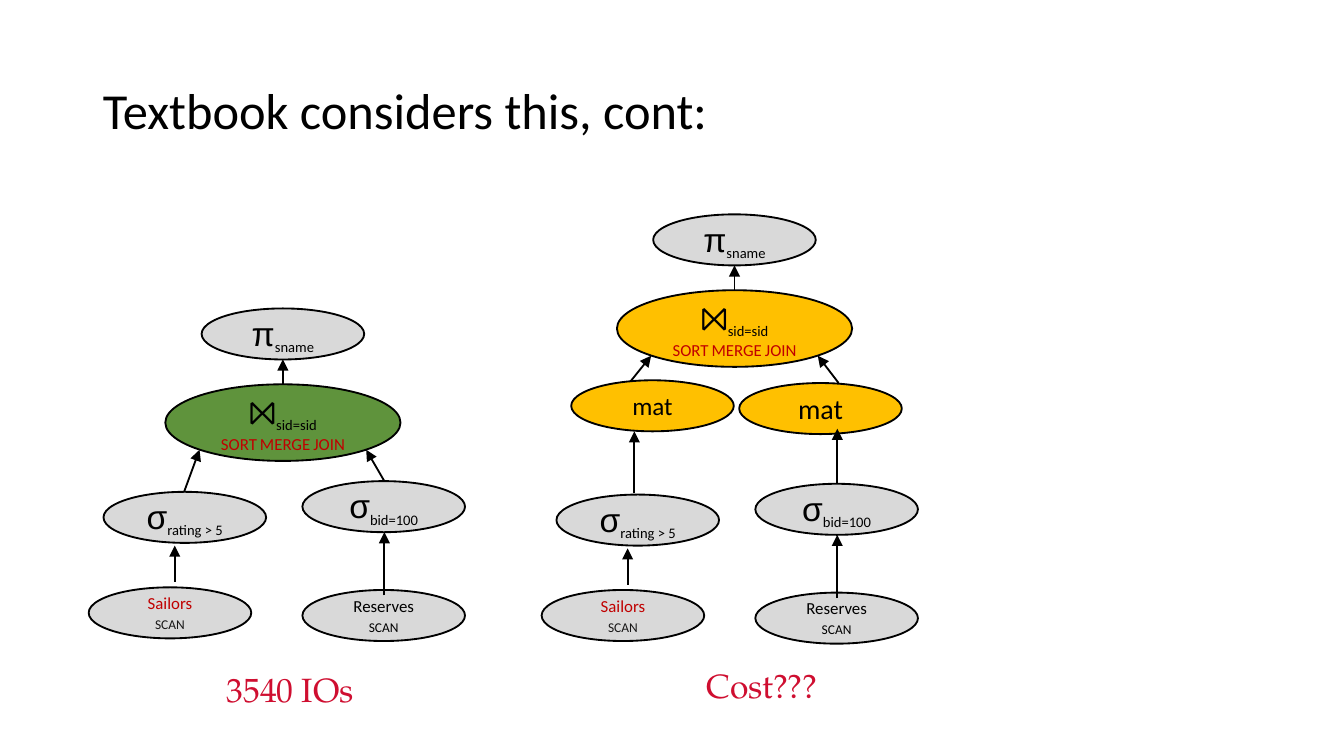
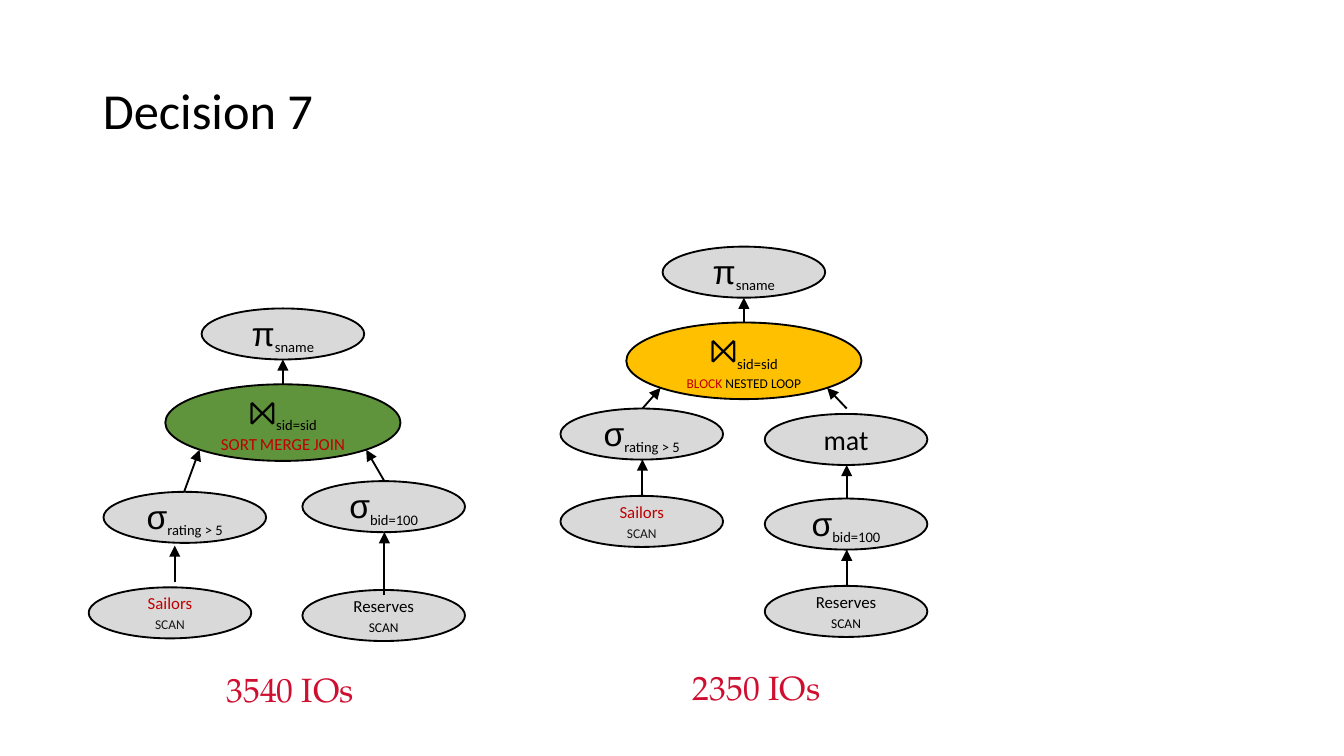
import pptx
import pptx.util
import pptx.dml.color
import pptx.enum.shapes
import pptx.enum.text
import pptx.oxml.ns
import lxml.etree

COLOURS = {
    "black": "000000",
    "scan": "181717",
    "red": "C00000",
    "cost": "CF0E30",
    "grey": "D9D9D9",
    "green": "5F933C",
    "amber": "FFC000",
}
PP_ALIGN = pptx.enum.text.PP_ALIGN

# Grid: 100 columns of a tenth of an inch, rows of the same size
CELL = pptx.util.Inches(0.1)
NODE_SIZE = (12.1, 3.8)
JOIN_SIZE = (17.5, 5.7)
CAPTION_SIZE = (15.6, 3.8)


def cells(*lengths):
    return [round(length * CELL) for length in lengths]


def add_text(frame, text, *, size, colour="black", font="Calibri", align=PP_ALIGN.CENTER,
             subscript=False, small_caps=False, start="run"):
    """Add a run, after a new paragraph or a line break if start says so."""
    frame.vertical_anchor = pptx.enum.text.MSO_ANCHOR.MIDDLE
    paragraph = frame.add_paragraph() if start == "paragraph" else frame.paragraphs[-1]
    if start == "line":
        paragraph.add_line_break()
    paragraph.alignment = align
    run = paragraph.add_run()
    run.text = text
    run.font.size = pptx.util.Pt(size)
    run.font.name = font
    run.font.color.rgb = pptx.dml.color.RGBColor.from_string(COLOURS[colour])
    properties = run.font._element
    if subscript:
        properties.set("baseline", "-25000")
    if small_caps:
        properties.set("cap", "small")
    return paragraph


# Node labels: lists of runs
symbol = {"size": 18, "font": "Arial"}
condition = {"size": 13.5, "subscript": True}
method = {"size": 9, "small_caps": True}
labels = {
    "project": [("π", symbol), ("sname", condition)],
    "rating": [("σ", symbol), ("rating > 5", condition)],
    "bid": [("σ", symbol), ("bid=100", condition)],
    "sailors": [("Sailors", {"size": 9, "colour": "red"}),
                ("scan", {**method, "colour": "scan", "start": "paragraph"})],
    "reserves": [("Reserves", {"size": 9}), ("scan", {**method, "start": "paragraph"})],
    "mat": [("mat", {"size": 15})],
    "small mat": [("mat", {"size": 13.5})],
}
join_label = [("⨝", symbol), ("sid=sid", condition)]
labels["sort merge"] = join_label + [
    ("SORT MERGE JOIN", {**method, "colour": "red", "start": "line"})]
labels["block loop"] = join_label + [
    ("block", {**method, "colour": "red", "start": "line"}), (" nested loop", method)]

# Both selections with their scans, placed as in the left plan
base_nodes = [("rating", 7.7, 36.6), ("sailors", 6.6, 43.7),
              ("bid", 22.5, 35.8), ("reserves", 22.5, 43.9)]
base_arrows = [(28.6, 44.3, 28.6, 39.6), (13, 43.3, 13, 40.6)]

# Plans: join is (label, colour, left, top); inputs are the starts of its two arrows
sort_merge_plan = {
    "join": ("sort merge", "green", 12.3, 28.6),
    "inputs": [(13.7, 36.6), (28.6, 35.8)],
    "nodes": [(label, "grey", left, top) for label, left, top in base_nodes],
    "arrows": base_arrows,
    "caption": ("3540 IOs", 13.8, 49.4),
}
shift_x, shift_y = 33.7, 0.2
materialised_plan = {
    "join": ("sort merge", "amber", 45.9, 21.6),
    "inputs": [(46.9, 28.4), (62.4, 28.5)],
    "nodes": [("small mat", "amber", 42.5, 28.3), ("mat", "amber", 55, 28.5)]
    + [(label, "grey", left + shift_x, top + shift_y) for label, left, top in base_nodes],
    "arrows": [(x1 + shift_x, y1 + shift_y, x2 + shift_x, y2 + shift_y)
               for x1, y1, x2, y2 in base_arrows]
    + [(47.2, 36.7, 47.2, 32.1), (62.3, 36, 62.3, 31.9)],
    "caption": ("Cost???", 48.9, 49.1),
}
block_loop_plan = {
    "join": ("block loop", "amber", 46.6, 24),
    "inputs": [(47.8, 30.4), (63, 30.4)],
    "nodes": [("rating", "grey", 41.7, 30.4), ("sailors", "grey", 41.7, 36.9),
              ("mat", "grey", 56.9, 30.8), ("bid", "grey", 56.9, 37.1),
              ("reserves", "grey", 56.9, 43.6)],
    "arrows": [(47.8, 36.9, 47.8, 34.2), (63, 37.1, 63, 34.6), (63, 43.6, 63, 40.9)],
    "caption": ("2350 IOs", 48.5, 49.2),
}
slides = [
    ("Textbook considers this, cont:", [sort_merge_plan, materialised_plan]),
    ("Decision 7", [sort_merge_plan, block_loop_plan]),
]

presentation = pptx.Presentation()
presentation.slide_width, presentation.slide_height = cells(100, 56.25)

for title, plans in slides:
    slide = presentation.slides.add_slide(presentation.slide_layouts[6])

    # Title
    frame = slide.shapes.add_textbox(*cells(6.9, 3, 86.2, 10.9)).text_frame
    frame.word_wrap = True
    frame.margin_left, frame.margin_right, frame.margin_top, frame.margin_bottom = cells(
        0.75, 0.75, 0.38, 0.38)
    paragraph = add_text(frame, title, size=27, align=PP_ALIGN.LEFT)
    paragraph.line_spacing = 0.9

    for plan in plans:
        # Projection above the join, and the arrows that meet the join
        join_label_name, join_colour, join_left, join_top = plan["join"]
        nodes = plan["nodes"] + [("project", "grey", join_left + 2.7, join_top - 5.65),
                                 plan["join"]]
        centre = join_left + JOIN_SIZE[0] / 2
        arrows = plan["arrows"] + [(centre, join_top, centre, join_top - 1.85)]
        for (x, y), side in zip(plan["inputs"], (-1, 1)):
            arrows.append((x, y, centre + side * 6.2, join_top + 4.87))

        # Operators
        for label, colour, left, top in nodes:
            size = JOIN_SIZE if label == join_label_name else NODE_SIZE
            shape = slide.shapes.add_shape(
                pptx.enum.shapes.MSO_SHAPE.OVAL, *cells(left, top, *size))
            shape.shadow.inherit = False
            shape.fill.solid()
            shape.fill.fore_color.rgb = pptx.dml.color.RGBColor.from_string(COLOURS[colour])
            shape.line.color.rgb = pptx.dml.color.RGBColor.from_string(COLOURS["black"])
            shape.line.width = pptx.util.Pt(1)
            frame = shape.text_frame
            frame.word_wrap = True
            frame.margin_left, frame.margin_right, frame.margin_top, frame.margin_bottom = cells(
                0.75, 0.75, 0.38, 0.38)
            for text, text_format in labels[label]:
                add_text(frame, text, **text_format)

        # Data flow
        for arrow in arrows:
            connector = slide.shapes.add_connector(
                pptx.enum.shapes.MSO_CONNECTOR.STRAIGHT, *cells(*arrow))
            connector.line.color.rgb = pptx.dml.color.RGBColor.from_string(COLOURS["black"])
            connector.line.width = pptx.util.Pt(1)
            properties = connector.element.spPr
            line = properties.find(pptx.oxml.ns.qn("a:ln"))
            lxml.etree.SubElement(line, pptx.oxml.ns.qn("a:tailEnd"), type="triangle")
            lxml.etree.SubElement(properties, pptx.oxml.ns.qn("a:effectLst"))

        # Cost
        caption, left, top = plan["caption"]
        frame = slide.shapes.add_textbox(*cells(left, top, *CAPTION_SIZE)).text_frame
        frame.word_wrap = False
        add_text(frame, caption, size=18, colour="cost", font="TeX Gyre Pagella")

presentation.save("out.pptx")
